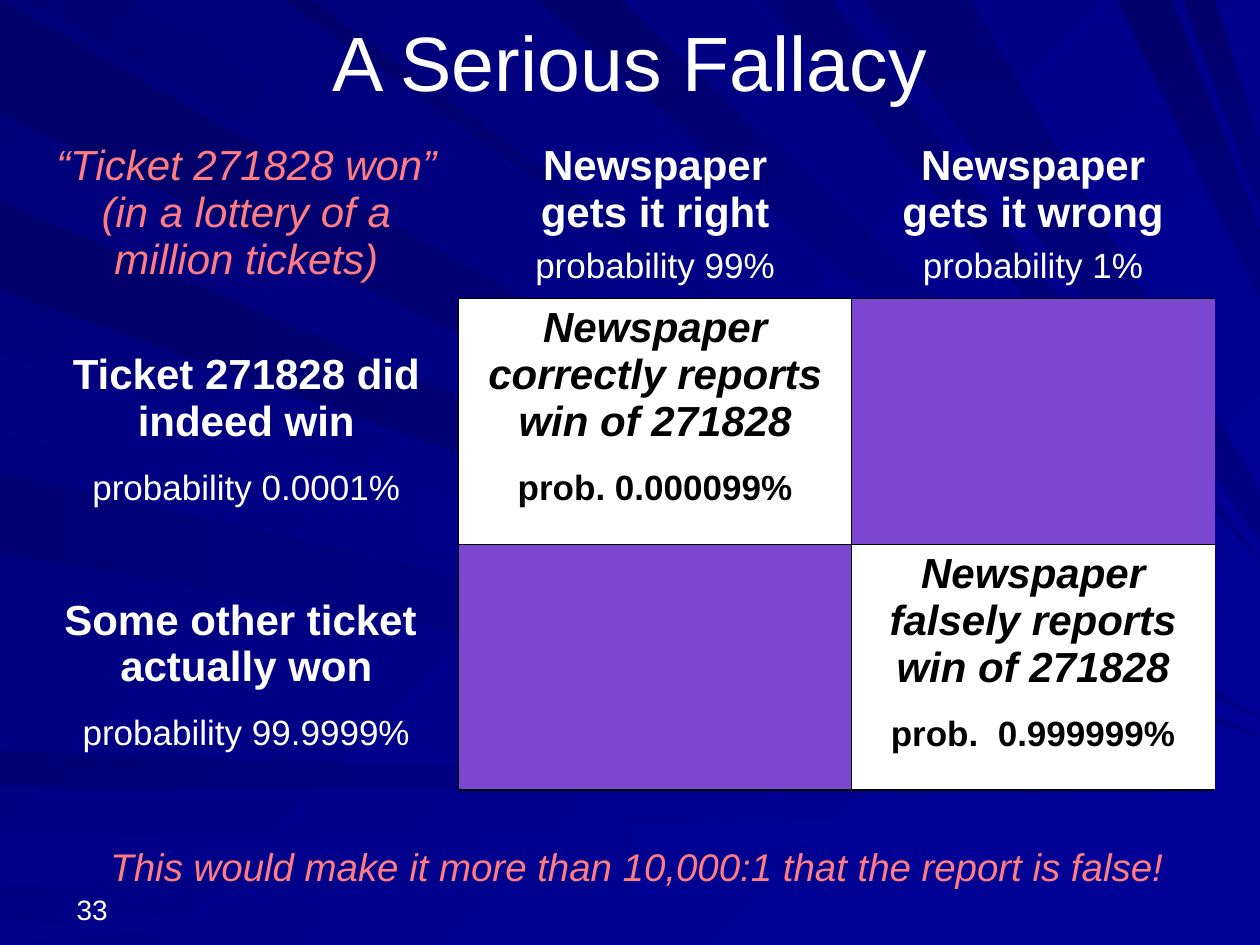
import lxml.etree
import pptx
import pptx.dml.color
import pptx.enum.text
import pptx.oxml.ns
import pptx.util

COLORS = {
    "white": "FFFFFF", "black": "000000", "coral": "FF7C80", "violet": "7B46D0",
    "night": "00006B", "dusk": "000074", "midnight": "000078", "navy": "000080",
    "dawn": "000088", "royal": "000099",
}

WIDTH, HEIGHT = 10, 7.5
LEFT_EDGE_RAYS = [
    ("night", "navy", 0, 0.9, 5.69, 5.7),
    ("dusk", "royal", 5.96, 6.23, 6.31, 6.32),
    ("dawn", "royal", 6.65, 7.04, 6.43, 6.51),
    ("dawn", "royal", 7.35, 7.5, 6.62, 6.63),
    ("night", "navy", 1.6, 2.3, 5.84, 5.85),
    ("navy", "royal", 2.8, 3.45, 6, 6.06),
    ("dusk", "royal", 3.75, 4.4, 6.05, 6.06),
]
TOP_EDGE_RAYS = [
    ("dusk", "royal", 0.26, 1, 5.62, 5.63),
    ("night", "royal", 4.26, 4.92, 4.8, 5.07),
    ("dusk", "navy", 6.06, 6.6, 4.45, 4.46),
    ("night", "navy", 8.87, 9.3, 1.83, 2.37),
    ("night", "navy", 9.39, 9.64, 1.14, 1.67),
    ("night", "royal", 2.25, 2.47, 5.47, 5.52),
    ("dusk", "navy", 6.86, 7.7, 3.9, 4.28),
]

COLUMN_WIDTHS = [3.37, 3.12, 2.88]
ROW_HEIGHTS = [1.29, 1.95, 1.95]
LINE_SIZES = [24, 20]
STYLES = {
    "claim": dict(color="coral", italic=[True], bold=[False], gap=0, top=0.05),
    "column": dict(color="white", italic=[False, False], bold=[True, False], gap=6, top=0.05),
    "row": dict(color="white", italic=[False, False], bold=[True, False], gap=13.4, top=0.42),
    "outcome": dict(color="black", italic=[True, False], bold=[True, True], gap=13.4, top=0.05),
}
CELLS = [
    [("claim", ["“Ticket 271828 won” (in a lottery of a million tickets)"]),
     ("column", ["Newspaper\vgets it right", "probability 99%"]),
     ("column", ["Newspaper\vgets it wrong", "probability 1%"])],
    [("row", ["Ticket 271828 did indeed win", "probability 0.0001%"]),
     ("outcome", ["Newspaper correctly reports win of 271828", "prob. 0.000099%"]),
     None],
    [("row", ["Some other ticket  actually won", "probability 99.9999%"]),
     None,
     ("outcome", ["Newspaper falsely reports win of 271828", "prob.  0.999999%"])],
]

ALIGN = pptx.enum.text.PP_ALIGN
ANCHOR = pptx.enum.text.MSO_ANCHOR
TEXTS = [
    ("33", (0.51, 6.9, 2.33, 0.5), 16, "white", False, ALIGN.LEFT, ANCHOR.BOTTOM, 0.1),
    ("This would make it more than 10,000:1 that the report is false!",
     (0, 6.64, 9.73, 0.5), 22, "coral", True, ALIGN.CENTER, ANCHOR.TOP, 0.48),
    ("A Serious Fallacy", (0.5, 0.05, 9, 0.85), 44, "white", False,
     ALIGN.CENTER, ANCHOR.BOTTOM, 0.1),
]


def inches(value):
    return pptx.util.Cm(value * 2.54)


def rgb(name):
    return pptx.dml.color.RGBColor.from_string(COLORS[name])


def paint_solid(fill, name):
    fill.solid()
    fill.fore_color.rgb = rgb(name)


def paint_gradient(fill, start, end, angle):
    fill.gradient()
    fill.gradient_angle = (360 - angle) % 360
    for stop, name in zip(fill.gradient_stops, (start, end)):
        stop.color.rgb = rgb(name)


def add_ray(slide, start, end, angle, points):
    corners = [(round(x * 100), round(y * 100)) for x, y in points]
    builder = slide.shapes.build_freeform(*corners[0], scale=inches(0.01))
    builder.add_line_segments(corners[1:], close=True)
    shape = builder.convert_to_shape()
    shape.shadow.inherit = False
    shape.line.fill.background()
    paint_gradient(shape.fill, start, end, angle)


def add_background(slide):
    paint_gradient(slide.background.fill, "midnight", "royal", 45)
    for start, end, top, bottom, end_top, end_bottom in LEFT_EDGE_RAYS:
        add_ray(slide, start, end, 0,
                [(0, top), (0, bottom), (WIDTH, end_bottom), (WIDTH, end_top)])
    for start, end, left, right, end_top, end_bottom in TOP_EDGE_RAYS:
        add_ray(slide, start, end, 90 if end == "navy" else 45,
                [(left, 0), (right, 0), (WIDTH, end_top), (WIDTH, end_bottom)])


def format_paragraph(paragraph, size, color, italic=False, bold=False):
    for run in paragraph.runs:
        run.font.name = "Arial"
        run.font.size = pptx.util.Pt(size)
        run.font.color.rgb = rgb(color)
        run.font.italic = italic
        run.font.bold = bold


def add_text(slide, text, box, size, color, italic, alignment, anchor, left_margin):
    frame = slide.shapes.add_textbox(*map(inches, box)).text_frame
    frame.word_wrap = True
    frame.vertical_anchor = anchor
    frame.margin_left = inches(left_margin)
    frame.text = text
    frame.paragraphs[0].alignment = alignment
    format_paragraph(frame.paragraphs[0], size, color, italic)


def set_borders(cell, visible):
    properties = cell._tc.get_or_add_tcPr()
    qn = pptx.oxml.ns.qn
    for side in "LRTB":
        line = lxml.etree.SubElement(properties, qn("a:ln" + side), w=str(pptx.util.Pt(1)))
        if side in visible:
            solid = lxml.etree.SubElement(line, qn("a:solidFill"))
            lxml.etree.SubElement(solid, qn("a:srgbClr"), val=COLORS["black"])
        else:
            lxml.etree.SubElement(line, qn("a:noFill"))


def fill_cell(cell, style, lines):
    cell.margin_top = inches(style["top"])
    cell.text_frame.text = "\n".join(lines)
    for index, paragraph in enumerate(cell.text_frame.paragraphs):
        paragraph.alignment = ALIGN.CENTER
        paragraph.space_before = pptx.util.Pt(style["gap"] * index)
        format_paragraph(paragraph, LINE_SIZES[index], style["color"],
                         style["italic"][index], style["bold"][index])


def add_outcome_table(slide):
    table = slide.shapes.add_table(
        len(ROW_HEIGHTS), len(COLUMN_WIDTHS), inches(0.27), inches(1.08),
        inches(sum(COLUMN_WIDTHS)), inches(sum(ROW_HEIGHTS))).table
    table.first_row = table.horz_banding = False
    for column, width in zip(table.columns, COLUMN_WIDTHS):
        column.width = inches(width)
    for row, height in zip(table.rows, ROW_HEIGHTS):
        row.height = inches(height)
    for r, row in enumerate(CELLS):
        for c, content in enumerate(row):
            cell = table.cell(r, c)
            horizontal = ("TB" if r else "B") if c else ""
            vertical = ("R", "LR", "L")[c] if r else ""
            set_borders(cell, horizontal + vertical)
            if r and c:
                paint_solid(cell.fill, "white" if content else "violet")
            else:
                cell.fill.background()
            if content:
                fill_cell(cell, STYLES[content[0]], content[1])


def main():
    presentation = pptx.Presentation()
    presentation.slide_width, presentation.slide_height = inches(WIDTH), inches(HEIGHT)
    slide = presentation.slides.add_slide(presentation.slide_layouts[6])
    add_background(slide)
    add_outcome_table(slide)
    for text in TEXTS:
        add_text(slide, *text)
    presentation.save("out.pptx")


if __name__ == "__main__":
    main()
